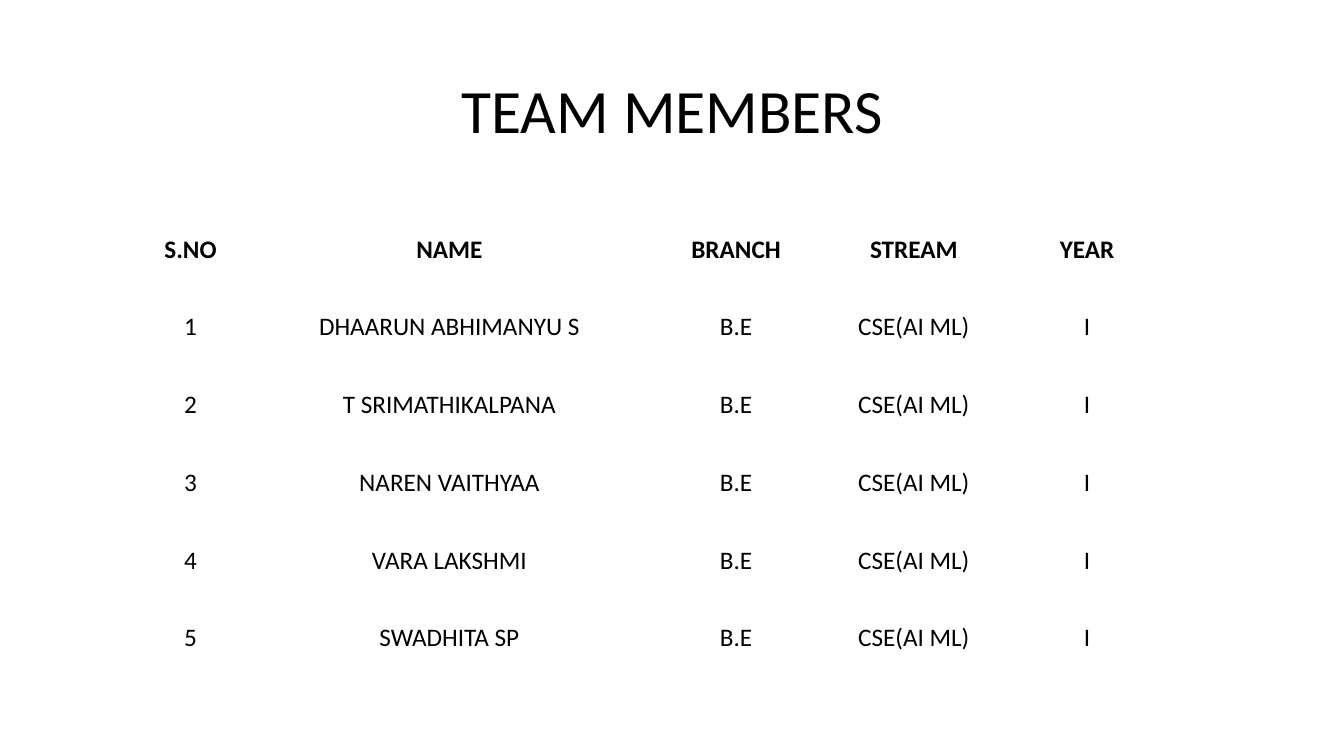
import dataclasses

import pptx
import pptx.dml.color
import pptx.enum.text
import pptx.slide
import pptx.text.text
import pptx.util

Cm = pptx.util.Cm
BLACK = pptx.dml.color.RGBColor(0x00, 0x00, 0x00)
ROW_HEIGHT = Cm(1.96)


@dataclasses.dataclass(frozen=True)
class Column:
    heading: str
    width: pptx.util.Length


@dataclasses.dataclass(frozen=True)
class Member:
    name: str
    branch: str = "B.E"
    stream: str = "CSE(AI ML)"
    year: str = "I"


COLUMNS = [
    Column("S.NO", Cm(2.84)),
    Column("NAME", Cm(10.21)),
    Column("BRANCH", Cm(4.24)),
    Column("STREAM", Cm(4.72)),
    Column("YEAR", Cm(4.01)),
]
MEMBERS = [
    Member("DHAARUN ABHIMANYU S"),
    Member("T SRIMATHIKALPANA"),
    Member("NAREN VAITHYAA"),
    Member("VARA LAKSHMI"),
    Member("SWADHITA SP"),
]


def write_centred(frame: pptx.text.text.TextFrame, text: str, size: float, bold: bool = False) -> None:
    paragraph = frame.paragraphs[0]
    paragraph.alignment = pptx.enum.text.PP_ALIGN.CENTER
    run = paragraph.add_run()
    run.text = text
    font_format = {"name": "Calibri", "size": pptx.util.Pt(size), "bold": bold}
    for attribute, value in font_format.items():
        setattr(run.font, attribute, value)
    run.font.color.rgb = BLACK


def add_title(slide: pptx.slide.Slide, text: str) -> None:
    title = slide.shapes.add_textbox(Cm(2.34), Cm(1.02), Cm(29.21), Cm(3.68)).text_frame
    title.word_wrap = True
    title.vertical_anchor = pptx.enum.text.MSO_ANCHOR.MIDDLE
    write_centred(title, text, 44)
    title.paragraphs[0].line_spacing = 0.9


def add_member_table(slide: pptx.slide.Slide) -> None:
    rows = [[column.heading for column in COLUMNS]]
    for number, member in enumerate(MEMBERS, start=1):
        rows.append([str(number), *dataclasses.astuple(member)])

    total_width = sum(column.width for column in COLUMNS)
    roster = slide.shapes.add_table(
        len(rows), len(COLUMNS), Cm(3.38), Cm(5.77), total_width, ROW_HEIGHT * len(rows)
    ).table
    for attribute, value in {"first_row": False, "horz_banding": False}.items():
        setattr(roster, attribute, value)
    for index, column in enumerate(COLUMNS):
        roster.columns[index].width = column.width

    for row_index, values in enumerate(rows):
        roster.rows[row_index].height = ROW_HEIGHT
        for column_index, value in enumerate(values):
            cell = roster.cell(row_index, column_index)
            cell.fill.background()
            write_centred(cell.text_frame, value, 18, bold=row_index == 0)


def main() -> None:
    presentation = pptx.Presentation()
    presentation.slide_width = Cm(33.87)
    presentation.slide_height = Cm(19.05)
    slide = presentation.slides.add_slide(presentation.slide_layouts[6])
    add_member_table(slide)
    add_title(slide, "TEAM MEMBERS")
    presentation.save("out.pptx")


if __name__ == "__main__":
    main()
